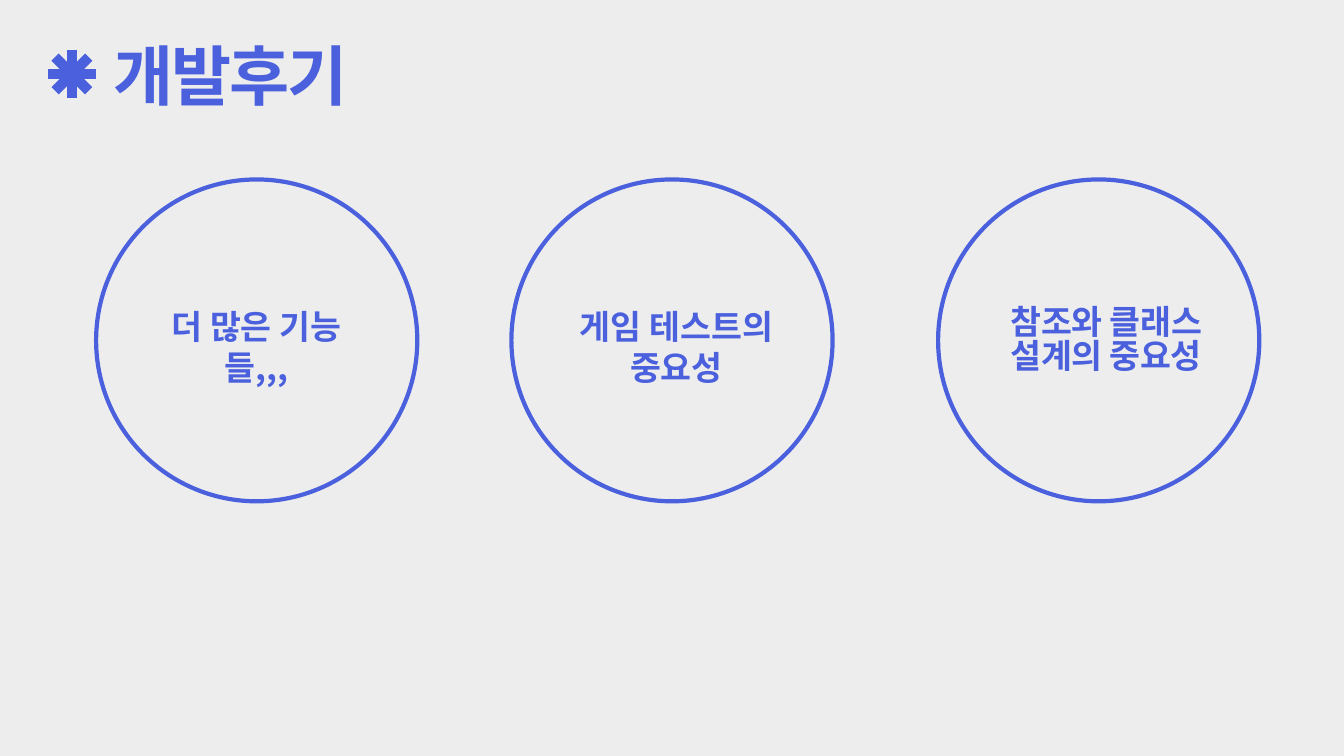
from lxml import etree
from pptx import Presentation, util as u
from pptx.dml.color import RGBColor
from pptx.enum import shapes, text
from pptx.oxml.ns import qn

WIDE, HIGH = 20, 11.25
BLUE, GREY = "4A60DD", "EDEDEE"
FONT = "Noto Sans CJK KR"
NONE = (0, 0, 0, 0)
PAD = (0.1, 0.05, 0.1, 0.05)

# text, box, insets, size, line height, letter spacing, centred
TEXTS = [
    ("개발후기", (1.69, 0.47, 16.77, 1.21), NONE, 70, 88.2, -2.1, False),
    ("더 많은 기능들,,,", (2.01, 4.51, 3.61, 1.31), PAD, 36, None, 0, True),
    ("게임 테스트의\v중요성", (8.54, 4.51, 3.61, 1.31), (0, 0.05, 0.56, 0.05),
     36, None, 0, True),
    ("참조와 클래스 설계의 중요성", (14.44, 4.57, 4.04, 1.02), NONE,
     36, 36.4, -0.3, True),
]
RINGS = [1.43, 7.61, 13.96]
RING_TOP, RING_W, RING_H = 2.67, 4.78, 4.79
STAR = (1.07, 1.1)
ARM, DIAG = 0.36, 0.25
SPOKES = [(ARM, 0), (0, ARM), (DIAG, DIAG), (DIAG, -DIAG)]


def rgb(code):
    return RGBColor.from_string(code)


def inches(nums):
    return [u.Inches(n) for n in nums]


def stroke(line, width):
    line.color.rgb = rgb(BLUE)
    line.width = u.Pt(width)


def spoke(slide, dx, dy):
    x, y = STAR
    ends = inches((x - dx, y - dy, x + dx, y + dy))
    line = slide.shapes.add_connector(shapes.MSO_CONNECTOR.STRAIGHT, *ends)
    stroke(line.line, 11)
    etree.SubElement(line._element.spPr, qn("a:effectLst"))


def ring(slide, left):
    box = inches((left, RING_TOP, RING_W, RING_H))
    oval = slide.shapes.add_shape(shapes.MSO_SHAPE.OVAL, *box)
    oval.shadow.inherit = False
    oval.fill.background()
    stroke(oval.line, 4.5)


def label(slide, words, box, pad, size, lead, track, mid):
    frame = slide.shapes.add_textbox(*inches(box)).text_frame
    frame.word_wrap = True
    (frame.margin_left, frame.margin_top,
     frame.margin_right, frame.margin_bottom) = inches(pad)
    para = frame.paragraphs[0]
    para.text = words
    para.alignment = text.PP_ALIGN.CENTER if mid else text.PP_ALIGN.LEFT
    if lead:
        para.line_spacing = u.Pt(lead)
    font = para.font
    font.name, font.size, font.bold = FONT, u.Pt(size), True
    font.color.rgb = rgb(BLUE)
    # Korean glyphs take the East Asian typeface
    props = font._element
    etree.SubElement(props, qn("a:ea"), typeface=FONT)
    if track:
        props.set("spc", str(round(track * 100)))


def main():
    deck = Presentation()
    deck.slide_width, deck.slide_height = inches((WIDE, HIGH))
    slide = deck.slides.add_slide(deck.slide_layouts[6])
    slide.background.fill.solid()
    slide.background.fill.fore_color.rgb = rgb(GREY)
    for dx, dy in SPOKES:
        spoke(slide, dx, dy)
    for left in RINGS:
        ring(slide, left)
    for item in TEXTS:
        label(slide, *item)
    deck.save("out.pptx")


if __name__ == "__main__":
    main()
